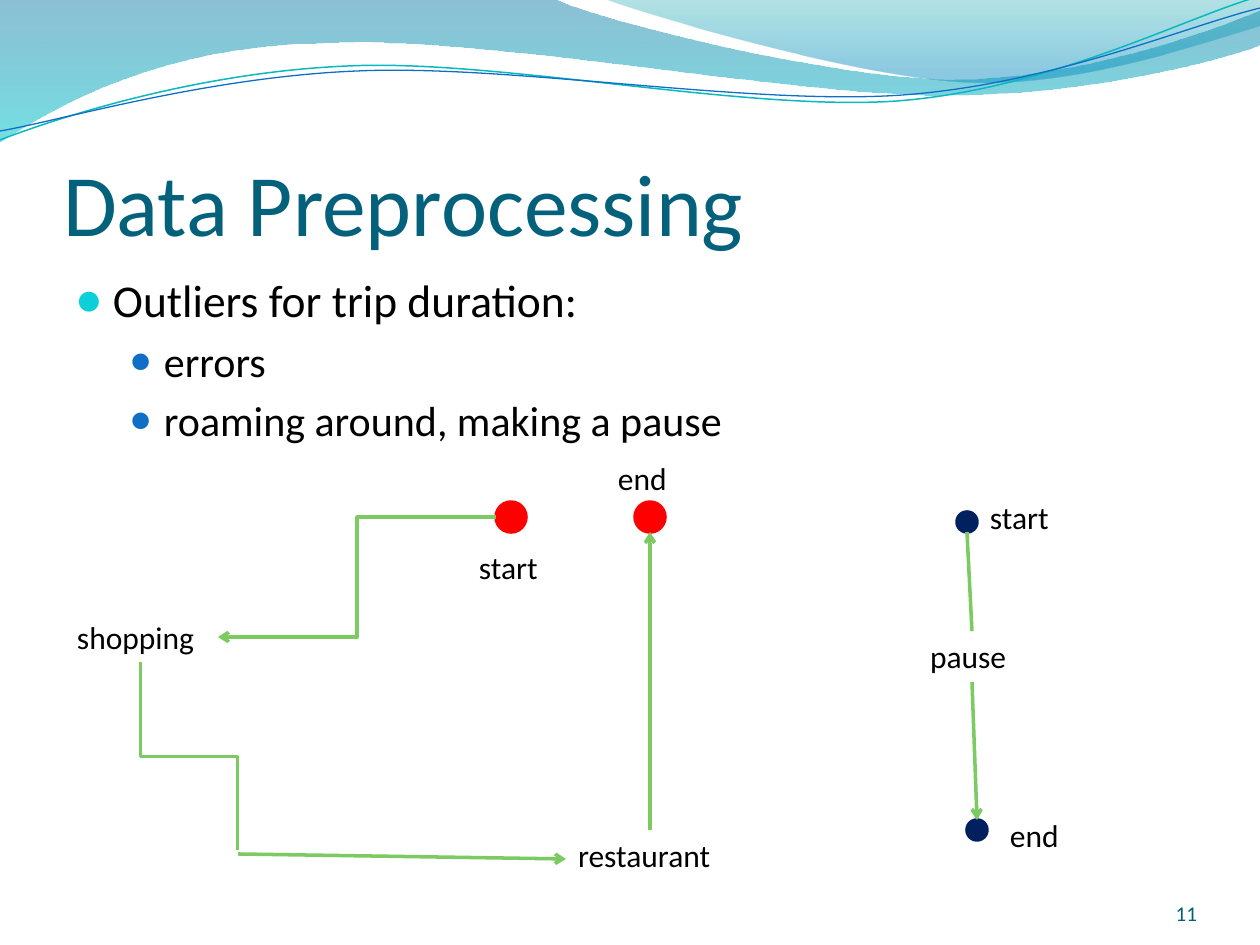
from math import cos, radians, sin

from lxml.etree import SubElement
from pptx import Presentation
from pptx.dml.color import RGBColor
from pptx.enum.shapes import MSO_CONNECTOR, MSO_SHAPE
from pptx.enum.text import MSO_ANCHOR, MSO_AUTO_SIZE, PP_ALIGN
from pptx.oxml.ns import qn
from pptx.util import Inches, Pt

PX_PER_INCH = 126
FONT = "Calibri"
GREEN, RED, NAVY = "7CCA62", "FF0000", "002060"
WAVE_TILT = 357.3


def px(n):
    return round(n * Inches(1) / PX_PER_INCH)


def rgb(code):
    return RGBColor.from_string(code)


def add_run(p, text, size, color):
    r = p.add_run()
    r.text = text
    r.font.name = FONT
    r.font.size = Pt(size)
    r.font.color.rgb = rgb(color)


def set_frame(tf, anchor, margins):
    tf.word_wrap = True
    tf.auto_size = MSO_AUTO_SIZE.NONE
    tf.vertical_anchor = anchor
    tf.margin_left, tf.margin_top, tf.margin_right, tf.margin_bottom = map(px, margins)


def add_text_box(s, x, y, w, h, anchor=MSO_ANCHOR.TOP, margins=(13, 6, 13, 6)):
    tf = s.shapes.add_textbox(px(x), px(y), px(w), px(h)).text_frame
    set_frame(tf, anchor, margins)
    return tf


def add_label(s, text, x, y, w):
    add_run(add_text_box(s, x, y, w, 50).paragraphs[0], text, 18, "000000")


def set_bullet(p, color, percent, left, hanging):
    pPr = p._p.get_or_add_pPr()
    pPr.set("marL", str(px(left)))
    pPr.set("indent", str(-px(hanging)))
    clr = SubElement(pPr, qn("a:buClr"))
    SubElement(clr, qn("a:srgbClr"), val=color)
    SubElement(pPr, qn("a:buSzPct"), val=str(percent * 1000))
    SubElement(pPr, qn("a:buFont"), typeface=FONT)
    SubElement(pPr, qn("a:buChar"), char="●")


def add_wave(s, start, segments, close):
    """Each segment holds one point (straight) or three (cubic curve)."""
    points = [(px(x), px(y)) for seg in segments for x, y in seg]
    fb = s.shapes.build_freeform(px(start[0]), px(start[1]))
    fb.add_line_segments(points, close=close)
    sp = fb.convert_to_shape()
    sp.shadow.inherit = False

    # Turn each run of three straight steps into one cubic curve
    steps = iter(list(sp._element.spPr.iter(qn("a:lnTo"))))
    for seg in segments:
        first, *others = [next(steps) for _ in seg]
        if others:
            first.tag = qn("a:cubicBezTo")
            for step in others:
                first.append(step[0])
                step.getparent().remove(step)
    return sp


def add_filled_wave(s, start, segments, stops):
    sp = add_wave(s, start, segments, True)
    sp.line.fill.background()
    sp.fill.gradient()
    sp.fill.gradient_angle = 270
    for stop, (position, color, _) in zip(sp.fill.gradient_stops, stops):
        stop.position = position
        stop.color.rgb = rgb(color)
    colors = sp._element.spPr.iter(qn("a:srgbClr"))
    for clr, (_, _, alpha) in zip(colors, stops):
        SubElement(clr, qn("a:alpha"), val=str(alpha * 1000))


def add_line_wave(s, start, segments, center, color, width):
    """Level the points about the center, then tilt the whole shape."""
    turn = radians(360 - WAVE_TILT)
    cx, cy = center

    def level(point):
        dx, dy = point[0] - cx, point[1] - cy
        return (cx + dx * cos(turn) - dy * sin(turn),
                cy + dx * sin(turn) + dy * cos(turn))

    sp = add_wave(s, level(start), [[level(pt) for pt in seg] for seg in segments], False)
    sp.rotation = WAVE_TILT
    sp.fill.background()
    sp.line.color.rgb = rgb(color)
    sp.line.width = Pt(width)


def add_dot(s, x, y, size, color):
    sp = s.shapes.add_shape(MSO_SHAPE.OVAL, px(x), px(y), px(size), px(size))
    sp.shadow.inherit = False
    sp.fill.solid()
    sp.fill.fore_color.rgb = rgb(color)
    sp.line.color.rgb = rgb(color)
    sp.line.width = Pt(2)


def add_route(s, start, end, kind=MSO_CONNECTOR.STRAIGHT, arrow=True, rotation=0):
    c = s.shapes.add_connector(kind, *map(px, start + end))
    c.line.color.rgb = rgb(GREEN)
    c.line.width = Pt(2)
    if arrow:
        SubElement(c.line._get_or_add_ln(), qn("a:tailEnd"), type="arrow")
    spPr = c._element.spPr
    SubElement(spPr, qn("a:effectLst"))
    if rotation:
        spPr.find(qn("a:xfrm")).set("rot", str(rotation * 60000))


def add_header_waves(s):
    add_filled_wave(s, (0, 0), [
        [(554, -1)],
        [(600, 21), (837, 79), (955, 79)],
        [(1075, 79), (1207, 33), (1260, 11)],
        [(1261, 45)],
        [(1237, 55), (1096, 96), (940, 95)],
        [(784, 95), (481, 35), (324, 43)],
        [(163, 45), (58, 105), (-1, 142)],
    ], [(0, "0074A1", 45), (1, "00C6CF", 55)])
    add_filled_wave(s, (604, -1), [
        [(642, 14), (859, 78), (969, 82)],
        [(1079, 87), (1211, 40), (1260, 26)],
        [(1260, 0)],
    ], [(0, "00A1A9", 30), (0.8, "008BBF", 45)])
    add_line_wave(s, (0, 140), [
        [(60, 117), (199, 72), (349, 66)],
        [(498, 59), (747, 112), (898, 101)],
        [(1050, 89), (1182, 19), (1257, -3)],
    ], (629, 72), "0AB8BF", 0.85)
    add_line_wave(s, (0, 131), [
        [(59, 121), (207, 77), (357, 71)],
        [(508, 64), (752, 106), (903, 95)],
        [(1053, 84), (1186, 26), (1260, 8)],
    ], (629, 74), "0F6FC6", 0.75)


def add_title(s, text):
    title = s.shapes.title
    title.left, title.top, title.width, title.height = map(px, (63, 96, 1134, 158))
    set_frame(title.text_frame, MSO_ANCHOR.BOTTOM, (0, 6, 0, 0))
    p = title.text_frame.paragraphs[0]
    p.alignment = PP_ALIGN.LEFT
    add_run(p, text, 50, "04617B")


def add_body(s, items):
    tf = add_text_box(s, 63, 266, 1134, 612)
    for i, (text, level) in enumerate(items):
        p = tf.add_paragraph() if i else tf.paragraphs[0]
        if level:
            set_bullet(p, "0F6FC6", 85, 88, 34)
        else:
            set_bullet(p, "0BD0D9", 95, 37, 37)
        p.level = level
        if i:
            p.space_before = Pt(5)
        add_run(p, text, 24 if level else 26, "000000")


def main():
    prs = Presentation()
    prs.slide_width, prs.slide_height = px(1260), px(945)
    s = prs.slides.add_slide(prs.slide_layouts[5])

    add_header_waves(s)
    add_title(s, "Data Preprocessing")
    add_body(s, [("Outliers for trip duration:", 0), ("errors", 1),
                 ("roaming around, making a pause", 1)])

    # Slide number
    p = add_text_box(s, 1092, 876, 105, 50, MSO_ANCHOR.BOTTOM, (0, 0, 0, 0)).paragraphs[0]
    p.alignment = PP_ALIGN.RIGHT
    add_run(p, "11", 12, "045D75")

    # Stops of both trips
    for x, y, size, color in [(496, 502, 30, RED), (635, 502, 30, RED),
                              (967, 820, 20, NAVY), (957, 512, 20, NAVY)]:
        add_dot(s, x, y, size, color)

    # Roaming trip
    add_route(s, (283, 708), (95, 805), MSO_CONNECTOR.ELBOW, arrow=False, rotation=270)
    add_route(s, (238, 854), (566, 859))
    add_route(s, (496, 517), (218, 637), MSO_CONNECTOR.ELBOW)
    add_route(s, (650, 830), (650, 532))

    # Trip with a pause
    add_route(s, (972, 682), (977, 820))
    add_route(s, (967, 532), (972, 631), arrow=False)

    for text, x, y, w in [("shopping", 64, 612, 154), ("restaurant", 565, 830, 170),
                          ("pause", 917, 631, 110), ("start", 466, 542, 86),
                          ("end", 605, 453, 86), ("start", 977, 492, 86),
                          ("end", 997, 810, 86)]:
        add_label(s, text, x, y, w)

    prs.save("out.pptx")


if __name__ == "__main__":
    main()
